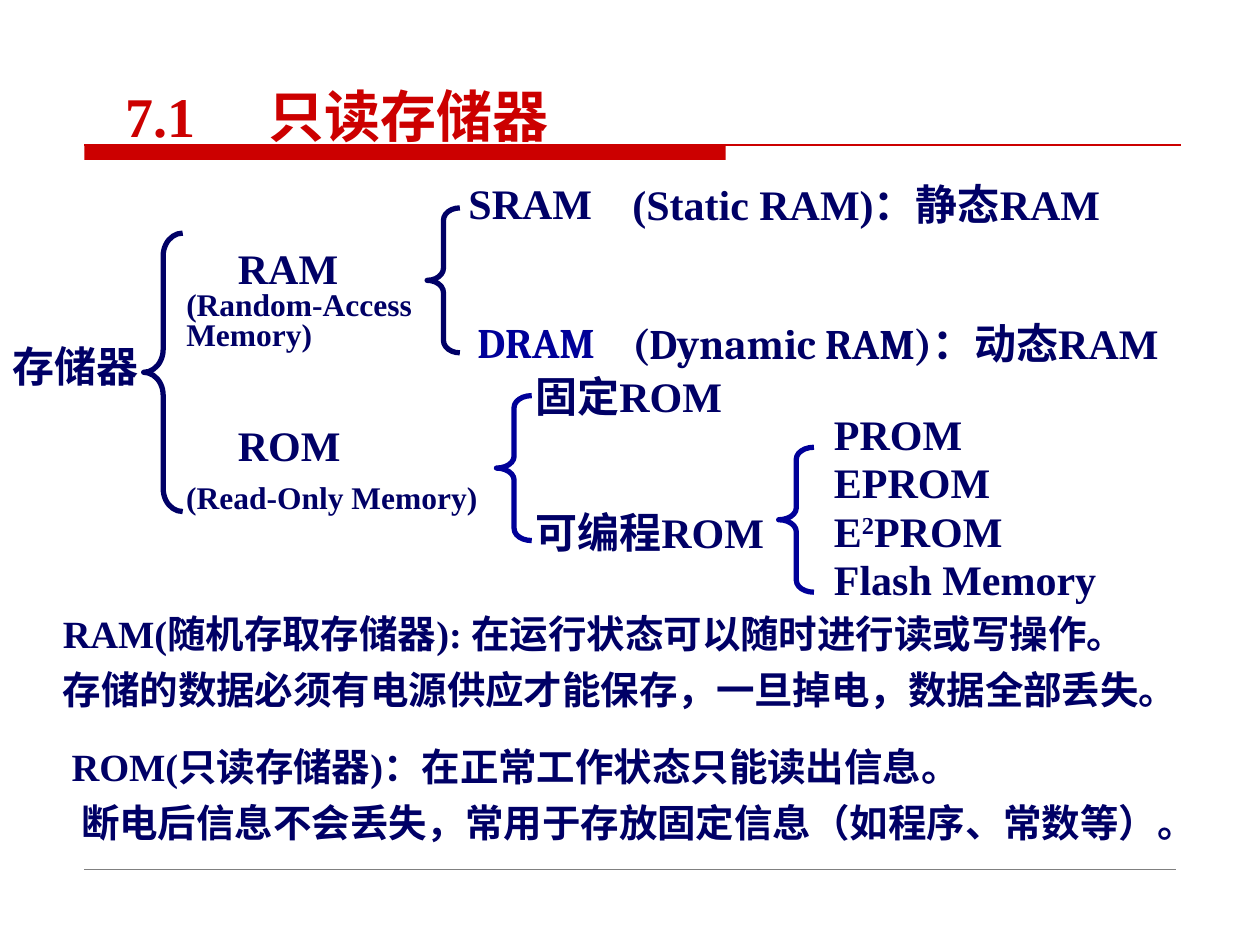
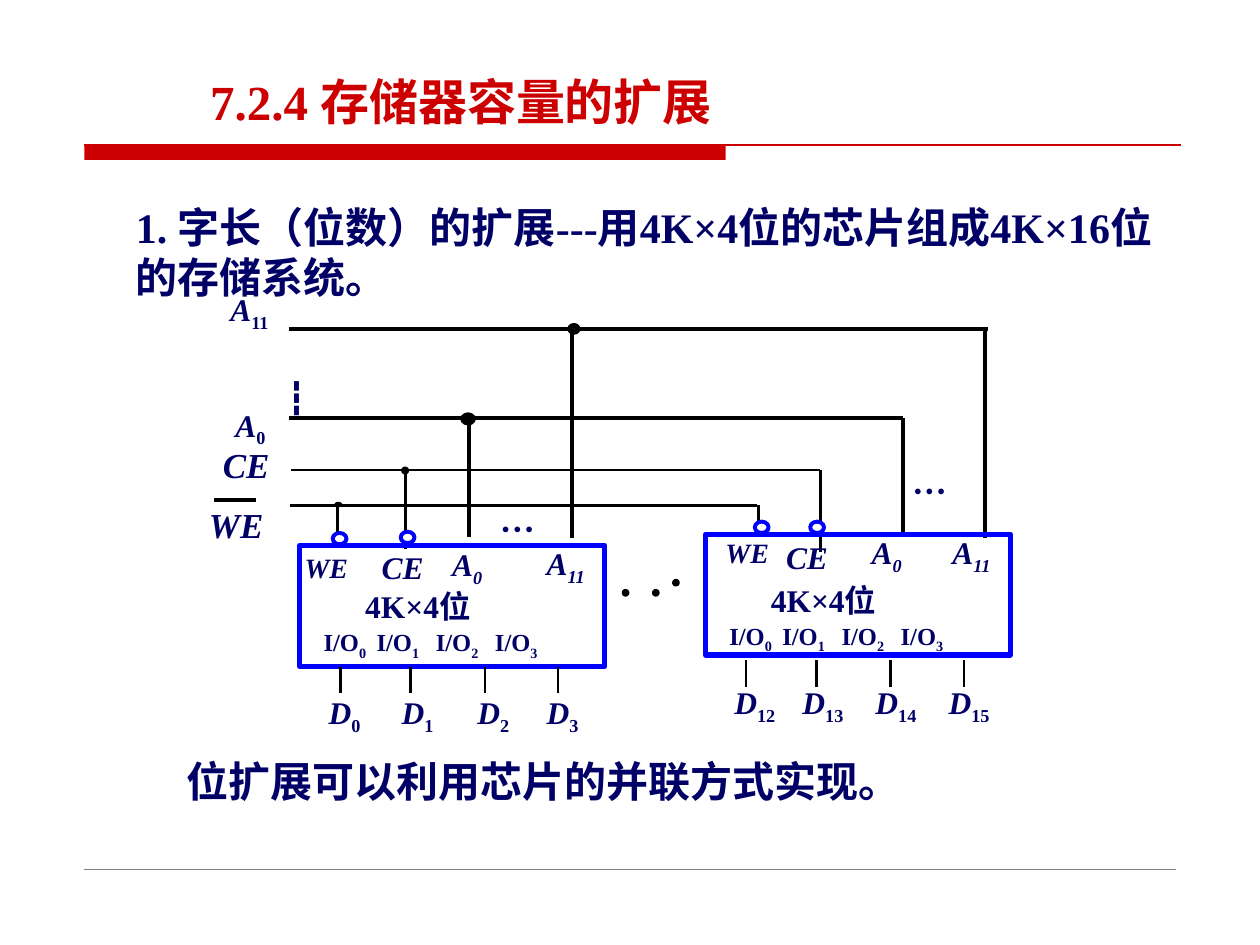
"""Builds two lecture slides: memory families and word-length expansion."""
from dataclasses import dataclass

from lxml import etree
from pptx import Presentation, util as u
from pptx.dml import color
from pptx.enum import shapes, text
from pptx.oxml import ns

COLORS = {"red": "CC0000", "navy": "000066", "blue": "000099", "chip": "0000FF",
          "black": "000000", "white": "FFFFFF", "grey": "808080"}
COLUMNS, ROWS = 100, 75
TIGHT = 0.8


@dataclass
class Para:
    """A paragraph: runs, first-line indent and tab stops in columns."""
    runs: list
    indent: float = 0
    tabs: tuple = ()


def indexed(letter, index, italic=True):
    """Return the runs of a letter with a subscript."""
    return [(letter, {"italic": italic}), (index, {"baseline": -25})]


def tabbed(letter, indices, tabs, italic=True):
    """Return a paragraph of subscripted letters set on tab stops."""
    runs = []
    for place, index in enumerate(indices):
        runs += ["\t"] if place else []
        runs += indexed(letter, str(index), italic)
    return Para(runs, tabs=tabs)


class Deck:
    """Holds the shared style and the current slide."""

    def __init__(self):
        """Open an empty deck and measure its grid."""
        self.show = Presentation()
        self.show.slide_width, self.show.slide_height = u.Inches(10), u.Inches(7.5)
        self.col = self.show.slide_width / COLUMNS
        self.row = self.show.slide_height / ROWS
        self.slide = None

    def area(self, x, y, w, h):
        """Turn grid cells into lengths."""
        return [u.Emu(round(n * cell)) for n, cell in
                zip((x, y, w, h), (self.col, self.row) * 2)]

    def rgb(self, name):
        """Look up a palette colour."""
        return color.RGBColor.from_string(COLORS[name])

    def page(self):
        """Start a slide with the title band and the footer rule."""
        self.slide = self.show.slides.add_slide(self.show.slide_layouts[6])
        self.shape("RECTANGLE", (6.7, 11.5, 50.9, 1.2), fill="red")
        self.line(6.7, 11.5, 93.7, 11.5, 0.75, "red")
        self.line(6.7, 69, 93.3, 69, 0.25, "grey")

    def shape(self, kind, box, fill=None, line=None, width=1, adjust=()):
        """Add a preset shape."""
        item = self.slide.shapes.add_shape(getattr(shapes.MSO_SHAPE, kind), *self.area(*box))
        item.shadow.inherit = False
        for place, value in enumerate(adjust):
            item.adjustments[place] = value
        if fill:
            item.fill.solid()
            item.fill.fore_color.rgb = self.rgb(fill)
        else:
            item.fill.background()
        if line:
            item.line.color.rgb = self.rgb(line)
            item.line.width = u.Pt(width)
        else:
            item.line.fill.background()
        return item

    def line(self, x1, y1, x2, y2, width=1.5, tint="black"):
        """Add a straight line."""
        wire = self.slide.shapes.add_connector(
            shapes.MSO_CONNECTOR.STRAIGHT, *self.area(x1, y1, x2, y2))
        wire.line.color.rgb = self.rgb(tint)
        wire.line.width = u.Pt(width)
        etree.SubElement(wire._element.spPr, ns.qn("a:effectLst"))

    def brace(self, box, curve, tint="navy"):
        """Add a left brace."""
        self.shape("LEFT_BRACE", box, line=tint, width=3, adjust=(curve, 0.5))

    def dot(self, x, y, w, h, fill="black", line="black", width=1):
        """Add a junction dot or a pin bubble."""
        self.shape("OVAL", (x, y, w, h), fill, line, width)

    def text(self, box, *paras, size=24, tint="navy", font="Times New Roman",
             italic=False, spacing=None, middle=False, fill=None):
        """Add bold text; each paragraph is a string, a run list or a Para."""
        label = self.slide.shapes.add_textbox(*self.area(*box))
        if fill:
            label.fill.solid()
            label.fill.fore_color.rgb = self.rgb(fill)
        frame = label.text_frame
        frame.word_wrap = True
        frame.vertical_anchor = text.MSO_ANCHOR.MIDDLE if middle else text.MSO_ANCHOR.TOP
        for place, para in enumerate(paras):
            if isinstance(para, str):
                para = Para([para])
            elif isinstance(para, list):
                para = Para(para)
            line = frame.add_paragraph() if place else frame.paragraphs[0]
            self.arrange(line, para, spacing, place > 0)
            for part in para.runs:
                words, look = (part, {}) if isinstance(part, str) else part
                run = line.add_run()
                run.text = words
                run.font.name = look.get("font", font)
                run.font.size = u.Pt(look.get("size", size))
                run.font.bold = True
                run.font.italic = look.get("italic", italic)
                run.font.color.rgb = self.rgb(tint)
                if "baseline" in look:
                    run.font._element.set("baseline", str(look["baseline"] * 1000))

    def arrange(self, line, para, spacing, follows):
        """Set line spacing, half-line gap, indent and tab stops."""
        props = line._p.get_or_add_pPr()
        if spacing:
            line.line_spacing = spacing
        if follows:
            gap = etree.SubElement(props, ns.qn("a:spcBef"))
            etree.SubElement(gap, ns.qn("a:spcPct"), val="50000")
        if para.indent:
            props.set("marL", "0")
            props.set("indent", str(round(para.indent * self.col)))
        if para.tabs:
            stops = etree.SubElement(props, ns.qn("a:tabLst"))
            for stop in para.tabs:
                etree.SubElement(stops, ns.qn("a:tab"), pos=str(round(stop * self.col)), algn="l")

    def chip(self, x, y, drop, pins, outputs, tabs):
        """Add a memory chip with pin names, data legs and bubbles."""
        self.text((x + 1.3, y + 11.2 + drop / 4, 33.3, 3.8),
                  tabbed("D", outputs, tabs), size=18, fill="white")
        self.shape("RECTANGLE", (x, y, 24.2, 9.6), line="chip", width=3)
        for leg in (3.2, 8.8, 14.7, 20.5):
            self.line(x + leg, y + 9.6 + drop, x + leg, y + 11.7 + drop)
        for runs, left, top, size in pins:
            self.text((left, top, 6.6, 4), runs, size=size, italic=True)
        self.text((x + 4.2, y + 2.8 + drop, 15.6, 3.5), "4K×4位", size=18)
        self.text((x + 0.9, y + 6 + drop, 23.1, 2.9),
                  tabbed("I/O", range(4), (4.2, 8.9, 13.6), italic=False), size=14)


def memory_families(deck):
    """Build the tree of memory types."""
    deck.page()
    deck.text((9, 6, 74.4, 6.3), Para(["7.1\t只读存储器"], tabs=(11.3,)), size=32, tint="red")
    deck.text((0, 26.5, 13.8, 5), "存储器")
    deck.text((13.8, 19.5, 22.8, 9),
              Para(["RAM ", ("(Random-Access Memory)", {"size": 18})], indent=4.1),
              spacing=TIGHT)
    deck.text((13.8, 33.6, 26.4, 8.1), Para(["ROM"], indent=4.1),
              [("(Read-Only Memory)", {"size": 18})], spacing=TIGHT)
    deck.brace((11.4, 18.5, 3.1, 22.1), 0.586)
    deck.brace((33.9, 16.5, 2.6, 11.5), 0.376)
    for left, top in ((39.4, 31.4), (61.8, 35.5)):
        deck.brace((left, top, 2.8, 11.5), 0.337, "blue")

    deck.text((36.2, 14.4, 13.4, 4.2), "SRAM", spacing=TIGHT)
    deck.text((49.2, 13.7, 51.1, 5), "(Static RAM)：静态RAM")
    deck.text((36.9, 25.4, 13.4, 4.2), "DRAM", font="Cambria", tint="blue", spacing=TIGHT)
    deck.text((49.2, 24.7, 54.5, 5),
              [("(Dynamic RAM)：", {"font": "Cambria"}), "动态RAM"])
    for top, kind in ((29.7, "固定ROM"), (40.5, "可编程ROM")):
        deck.text((41.5, top, 23.2, 4.2), kind, spacing=TIGHT)
    programmable = ("PROM", "EPROM", ["E", ("2", {"baseline": 30}), "PROM"], "Flash Memory")
    for place, kind in enumerate(programmable):
        deck.text((65.2, 32.7 + 3.84 * place, 30.8, 4.2), kind, spacing=TIGHT)

    deck.text((4, 48.6, 93.3, 8.8),
              "RAM(随机存取存储器): 在运行状态可以随时进行读或写操作。",
              "存储的数据必须有电源供应才能保存，一旦掉电，数据全部丢失。",
              size=22, spacing=TIGHT)
    deck.text((4.7, 59.2, 92.6, 8.8),
              "ROM(只读存储器)：在正常工作状态只能读出信息。",
              Para(["断电后信息不会丢失，常用于存放固定信息（如程序、常数等）。"], indent=0.75),
              size=22, spacing=TIGHT)


def word_expansion(deck):
    """Build the parallel chip circuit."""
    deck.page()
    deck.text((15.7, 5.2, 73.9, 5.6), "7.2.4 存储器容量的扩展",
              size=28, tint="red", middle=True)
    deck.text((10.6, 59.5, 72.7, 5),
              Para(["位扩展可以利用芯片的并联方式实现。"], indent=3.2))

    for left, top in ((71.4, 36.7), (38.7, 39.7)):
        deck.text((left, top, 5, 2.5), "···", size=20)
    deck.text((21.8, 29.5, 4.4, 3), "┇", size=18)
    for left, top, index in ((17.3, 22.5, "11"), (17.7, 31.7, "0")):
        deck.text((left, top, 6.6, 5), indexed("A", index), size=18)
    for left, top, signal in ((16.7, 34.7, "CE"), (15.6, 39.5, "WE")):
        deck.text((left, top, 7.3, 4), signal, size=20, italic=True)
    deck.line(17, 39.7, 20.3, 39.7, 2.25)

    buses = ((22.9, 26.1, 78.4, 2.25, ((45.4, 42.7), (78.2, 42.7))),
             (22.9, 33.2, 71.7, 2.25, ((37.2, 42.6), (71.7, 42.6))),
             (23.1, 37.3, 65.1, 1.5, ((32.2, 43.6), (65.1, 43.8))),
             (23, 40.1, 60.1, 1.5, ((26.8, 42.6), (60.2, 42.6))))
    for start, level, end, width, taps in buses:
        deck.line(start, level, end, level, width)
        for x, foot in taps:
            deck.line(x, level, x, foot, width)
    for junction in ((45.1, 25.7, 0.9, 0.8), (36.6, 32.8, 1.1, 0.9),
                     (31.9, 37.1, 0.5, 0.5), (26.6, 39.9, 0.5, 0.3)):
        deck.dot(*junction)

    deck.chip(23.8, 43.3, 0,
              ((["WE"], 23.2, 43.2, 16), (["CE"], 29.3, 43, 18),
               (indexed("A", "0"), 34.9, 42.8, 18), (indexed("A", "11"), 42.4, 42.7, 18)),
              range(4), (5.8, 11.8, 17.3))
    deck.chip(56, 42.4, 0.4,
              ((["WE"], 56.6, 42, 16), (["CE"], 61.4, 42.2, 18),
               (indexed("A", "0"), 68.2, 41.8, 18), (indexed("A", "11"), 74.6, 41.8, 18)),
              range(12, 16), (5.4, 11.2, 17))
    for x, y in ((31.8, 42.2), (26.4, 42.3), (64.3, 41.4), (59.9, 41.4)):
        deck.dot(x, y, 1.1, 0.9, "white", "chip", 2.25)
    for x, y in ((49.5, 46.9), (51.9, 46.9), (53.5, 46.1)):
        deck.dot(x, y, 0.3, 0.3, width=2.25)
    deck.text((9.8, 15.5, 85, 9.1),
              "1. 字长（位数）的扩展---用4K×4位的芯片组成4K×16位的存储系统。")


def main():
    """Build and save the deck."""
    deck = Deck()
    memory_families(deck)
    word_expansion(deck)
    deck.show.save("out.pptx")


if __name__ == "__main__":
    main()
